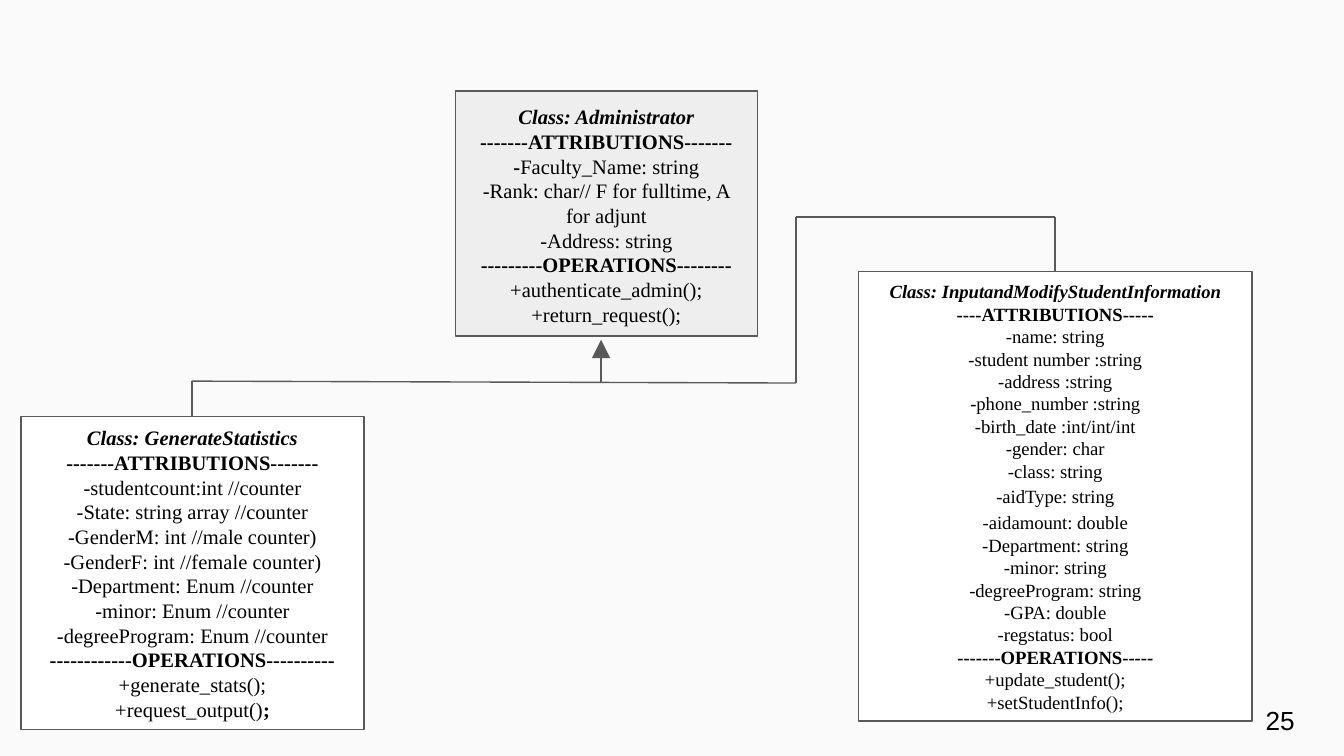
from dataclasses import dataclass

from lxml.etree import SubElement
from pptx import Presentation
from pptx.dml.color import RGBColor as Rgb
from pptx.enum.shapes import MSO_CONNECTOR as Connector, MSO_SHAPE as Shape
from pptx.enum.text import MSO_ANCHOR as Anchor, PP_ALIGN as Align
from pptx.oxml.ns import qn
from pptx.util import Pt


@dataclass(frozen=True)
class Theme:
    background: Rgb = Rgb(0xFA, 0xFA, 0xFA)
    parent_fill: Rgb = Rgb(0xEE, 0xEE, 0xEE)
    child_fill: Rgb = Rgb(0xFF, 0xFF, 0xFF)
    outline: Rgb = Rgb(0x59, 0x59, 0x59)
    ink: Rgb = Rgb(0, 0, 0)
    class_font: str = "Times New Roman"
    number_font: str = "Arial"
    class_size: float = 11
    long_class_size: float = 10
    number_size: float = 14
    line_width: float = 0.75
    inset: float = 7.2


THEME = Theme()

ADMINISTRATOR = dict(
    name="Administrator",
    attributions_rule="-------ATTRIBUTIONS-------",
    attributions=[
        [("-", True), ("Faculty_Name: string", False)],
        "-Rank: char// F for fulltime, A for adjunt",
        "-Address: string",
    ],
    operations_rule="---------OPERATIONS--------",
    operations=["+authenticate_admin();", "+return_request();"],
)

STUDENT_INFORMATION = dict(
    name="InputandModifyStudentInformation",
    attributions_rule="----ATTRIBUTIONS-----",
    attributions=[
        "-name: string",
        "-student number :string",
        "-address :string",
        "-phone_number :string",
        "-birth_date :int/int/int",
        "-gender: char",
        "-class: string",
        "-aidType: string",
        "-aidamount: double",
        "-Department: string",
        "-minor: string",
        "-degreeProgram: string",
        "-GPA: double",
        "-regstatus: bool",
    ],
    operations_rule="-------OPERATIONS-----",
    operations=["+update_student();", "+setStudentInfo();"],
)

STATISTICS = dict(
    name="GenerateStatistics",
    attributions_rule="-------ATTRIBUTIONS-------",
    attributions=[
        "-studentcount:int //counter",
        "-State: string array //counter",
        "-GenderM: int //male counter)",
        "-GenderF: int //female counter)",
        "-Department: Enum //counter",
        "-minor: Enum //counter",
        "-degreeProgram: Enum //counter",
    ],
    operations_rule="------------OPERATIONS----------",
    operations=["+generate_stats();", [("+request_output()", False), (";", True)]],
)

LOOSE_LINES = {"-aidType: string", "-aidamount: double"}


def add_run(paragraph, text, font, size, bold=False, italic=False):
    run = paragraph.add_run()
    run.text = text
    run.font.name = font
    run.font.size = Pt(size)
    run.font.bold = bold
    run.font.italic = italic
    run.font.color.rgb = THEME.ink


def prepare_frame(frame, anchor):
    frame.word_wrap = True
    frame.vertical_anchor = anchor
    frame.margin_left = frame.margin_right = Pt(THEME.inset)
    frame.margin_top = frame.margin_bottom = Pt(THEME.inset)


def add_class_box(slide, uml, bounds, fill, size, anchor=Anchor.MIDDLE):
    box = slide.shapes.add_shape(Shape.RECTANGLE, *map(Pt, bounds))
    box.shadow.inherit = False
    box.fill.solid()
    box.fill.fore_color.rgb = fill
    box.line.color.rgb = THEME.outline
    box.line.width = Pt(THEME.line_width)
    frame = box.text_frame
    prepare_frame(frame, anchor)

    title = frame.paragraphs[0]
    title.alignment = Align.CENTER
    add_run(title, "Class: " + uml["name"], THEME.class_font, size, bold=True, italic=True)
    members = [
        [(uml["attributions_rule"], True)],
        *uml["attributions"],
        [(uml["operations_rule"], True)],
        *uml["operations"],
    ]
    for member in members:
        paragraph = frame.add_paragraph()
        paragraph.alignment = Align.CENTER
        if isinstance(member, str):
            if member in LOOSE_LINES:
                paragraph.line_spacing = 1.15
            member = [(member, False)]
        for text, bold in member:
            add_run(paragraph, text, THEME.class_font, size, bold)


def add_link(slide, start, end, arrow=False):
    link = slide.shapes.add_connector(Connector.STRAIGHT, *map(Pt, start + end))
    link.line.color.rgb = THEME.outline
    link.line.width = Pt(THEME.line_width)
    if arrow:
        SubElement(link.line._get_or_add_ln(), qn("a:tailEnd"),
                   type="triangle", w="lg", len="lg")
    SubElement(link._element.spPr, qn("a:effectLst"))


def add_inheritance(slide):
    arrow_x, statistics_x, riser_x, student_x = 322, 102.8, 426.4, 565.2
    trunk_y, statistics_y, bridge_y = 205.2, 204.2, 116.2
    add_link(slide, (arrow_x, trunk_y), (arrow_x, 182), arrow=True)
    add_link(slide, (riser_x, trunk_y), (statistics_x, statistics_y))
    add_link(slide, (statistics_x, 223.2), (statistics_x, statistics_y))
    add_link(slide, (riser_x, trunk_y), (riser_x, bridge_y))
    add_link(slide, (student_x, bridge_y), (riser_x, bridge_y))
    add_link(slide, (student_x, 145.5), (student_x, bridge_y))


def add_page_number(slide, number):
    frame = slide.shapes.add_textbox(Pt(671), Pt(370), Pt(43.2), Pt(31)).text_frame
    prepare_frame(frame, Anchor.MIDDLE)
    add_run(frame.paragraphs[0], number, THEME.number_font, THEME.number_size)


def main():
    deck = Presentation()
    deck.slide_width, deck.slide_height = Pt(720), Pt(405)
    slide = deck.slides.add_slide(deck.slide_layouts[6])
    slide.background.fill.solid()
    slide.background.fill.fore_color.rgb = THEME.background

    add_class_box(slide, ADMINISTRATOR, (244, 48.7, 161.8, 131.4),
                  THEME.parent_fill, THEME.class_size, Anchor.TOP)
    add_class_box(slide, STUDENT_INFORMATION, (459.8, 145.6, 211, 240.8),
                  THEME.child_fill, THEME.long_class_size)
    add_class_box(slide, STATISTICS, (11.3, 223.2, 183.8, 167.8),
                  THEME.child_fill, THEME.class_size)
    add_inheritance(slide)
    add_page_number(slide, "25")
    deck.save("out.pptx")


if __name__ == "__main__":
    main()
